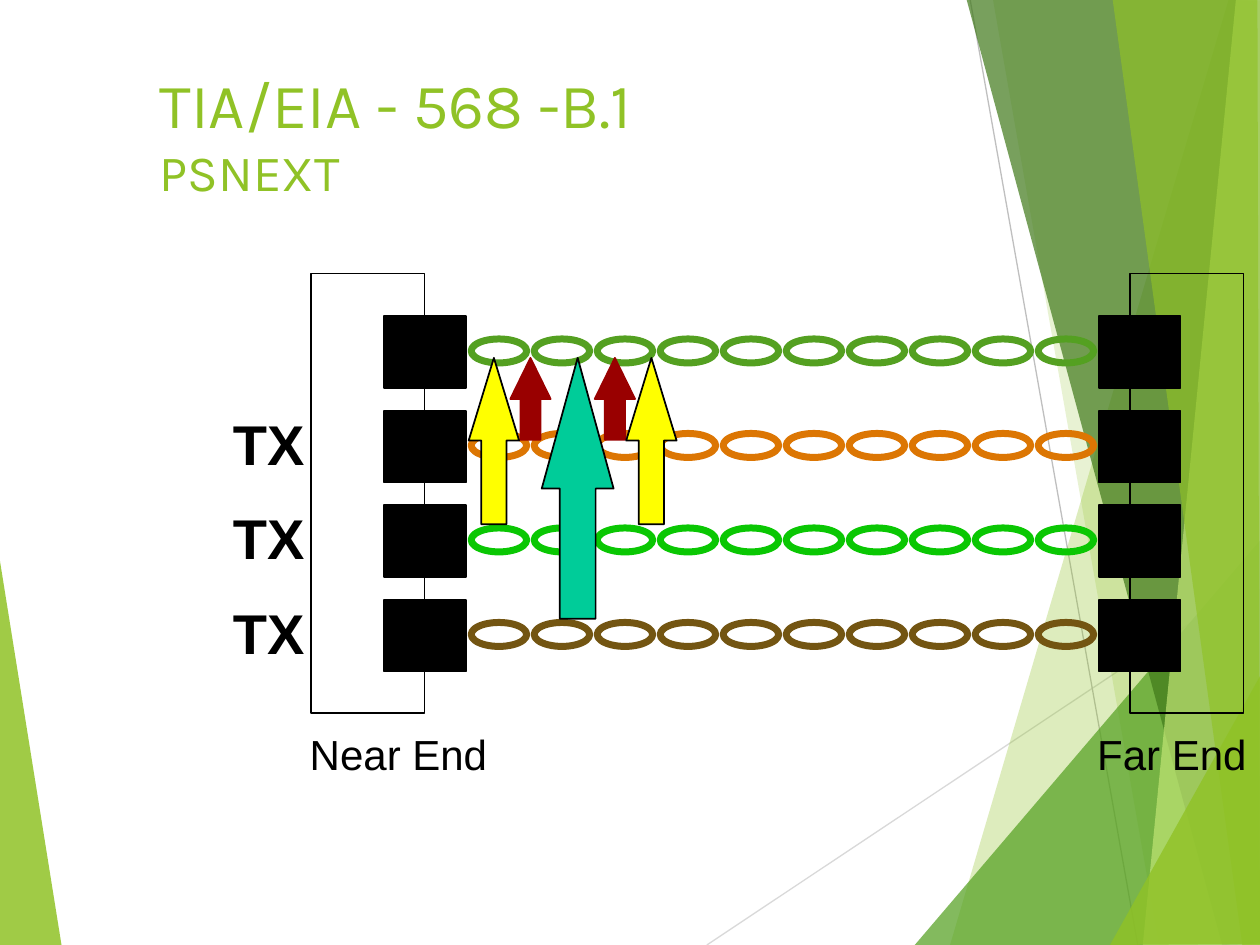
import pptx
import pptx.util
import pptx.dml.color
import pptx.enum.shapes
import pptx.oxml
import pptx.oxml.ns

Inches = pptx.util.Inches
Pt = pptx.util.Pt
RGBColor = pptx.dml.color.RGBColor
Shape = pptx.enum.shapes.MSO_SHAPE

BLACK = RGBColor(0x00, 0x00, 0x00)
LIME = RGBColor(0x90, 0xC2, 0x26)
LEAF = RGBColor(0x54, 0xA0, 0x21)
FOREST = RGBColor(0x3F, 0x78, 0x19)
PALE = RGBColor(0xC0, 0xE4, 0x74)
LIGHT_GREY = RGBColor(0xD9, 0xD9, 0xD9)
GREY = RGBColor(0xBF, 0xBF, 0xBF)
ORANGE = RGBColor(0xDC, 0x76, 0x03)
GREEN = RGBColor(0x0A, 0xC7, 0x03)
BROWN = RGBColor(0x73, 0x55, 0x12)
RED = RGBColor(0x99, 0x00, 0x00)
YELLOW = RGBColor(0xFF, 0xFF, 0x00)
TEAL = RGBColor(0x00, 0xCC, 0x99)


def add_figure(kind, left, top, width, height, fill, line, weight=1):
    figure = page.shapes.add_shape(kind, Inches(left), Inches(top), Inches(width), Inches(height))
    figure.shadow.inherit = False
    if fill is None:
        figure.fill.background()
    else:
        figure.fill.solid()
        figure.fill.fore_color.rgb = fill
    figure.line.color.rgb = line
    figure.line.width = Pt(weight)
    return figure


def add_text(left, top, width, height, lines, wrap=False):
    box = page.shapes.add_textbox(Inches(left), Inches(top), Inches(width), Inches(height))
    box.text_frame.word_wrap = wrap
    para = box.text_frame.paragraphs[0]
    for index, (text, style, color) in enumerate(lines):
        if index:
            para.add_line_break()
        span = para.add_run()
        span.text = text
        for name, value in style.items():
            setattr(span.font, name, value)
        span.font.color.rgb = color


deck = pptx.Presentation()
deck.slide_width = Inches(10)
deck.slide_height = Inches(7.5)
page = deck.slides.add_slide(deck.slide_layouts[6])

facets = [
    (LIME, 85, [(-0.01, 4.39), (0.49, 7.51), (-0.01, 7.5)]),
    (LIME, 30, [(9.75, 0), (7.54, 7.5), (10.02, 7.51), (10.01, 0.01)]),
    (LIME, 20, [(7.88, -0.01), (9.2, 7.5), (10.01, 7.5), (10.01, -0.01)]),
    (LEAF, 72, [(7.26, 7.5), (10, 4.29), (10.01, 7.5)]),
    (FOREST, 70, [(7.67, -0.01), (9.7, 7.5), (10.01, 7.49), (10.01, -0.01)]),
    (PALE, 70, [(9.81, -0.01), (9.07, 7.5), (10.01, 7.5), (10, -0.01)]),
    (LIME, 65, [(8.83, -0.01), (9.86, 7.5), (10, 7.5), (9.98, -0.01)]),
    (LIME, 80, [(8.81, 7.5), (10.01, 5.35), (10.01, 7.49)]),
]
rays = [
    (LIGHT_GREY, 5.61, 7.5, 10.01, 4.57),
    (GREY, 7.7, 0, 9.03, 7.5),
]

for color, x1, y1, x2, y2 in rays:
    ray = page.shapes.add_connector(
        pptx.enum.shapes.MSO_CONNECTOR.STRAIGHT, Inches(x1), Inches(y1), Inches(x2), Inches(y2))
    ray.line.color.rgb = color
    ray.line.width = Pt(0.75)
    pptx.oxml.ns.qn("a:effectLst")
    ray._element.spPr.append(pptx.oxml.parse_xml(
        "<a:effectLst %s/>" % pptx.oxml.ns.nsdecls("a")))

for color, opacity, points in facets:
    corners = [(Inches(x), Inches(y)) for x, y in points]
    builder = page.shapes.build_freeform(*corners[0])
    builder.add_line_segments(corners[1:], close=True)
    facet = builder.convert_to_shape()
    facet.shadow.inherit = False
    facet.fill.solid()
    facet.fill.fore_color.rgb = color
    facet.line.fill.background()
    tint = facet._element.spPr.find(".//" + pptx.oxml.ns.qn("a:srgbClr"))
    tint.append(pptx.oxml.parse_xml(
        '<a:alpha %s val="%d"/>' % (pptx.oxml.ns.nsdecls("a"), opacity * 1000)))

row_pitch = 0.75
for frame_left, jack_left in [(2.47, 3.05), (8.97, 8.72)]:
    add_figure(Shape.RECTANGLE, frame_left, 2.17, 0.9, 3.49, None, BLACK)
    for row in range(4):
        add_figure(Shape.RECTANGLE, jack_left, 2.51 + row * row_pitch, 0.65, 0.57, BLACK, BLACK)

for row, color in enumerate([LEAF, ORANGE, GREEN, BROWN]):
    for twist in range(10):
        add_figure(Shape.OVAL, 3.74 + twist * 0.5, 2.69 + row * row_pitch, 0.44, 0.19, None, color, 4)

arrows = [
    (4.05, 0.32, 0.65, 1.02, RED, RED),
    (4.72, 0.32, 0.65, 1.02, RED, RED),
    (3.72, 0.4, 1.32, 1.64, YELLOW, BLACK),
    (4.97, 0.4, 1.32, 1.64, YELLOW, BLACK),
    (4.3, 0.57, 2.07, 1.82, TEAL, BLACK),
]
for left, width, height, head, fill, line in arrows:
    arrow = add_figure(Shape.UP_ARROW, left, 2.84, width, height, fill, line)
    arrow.adjustments[0] = 0.5
    arrow.adjustments[1] = head

signal_style = {"name": "Arial", "size": Pt(32), "bold": True}
end_style = {"name": "Arial", "size": Pt(24)}
for row in range(3):
    add_text(1.75, 3.2 + row * row_pitch, 0.77, 0.63, [("TX", signal_style, BLACK)])
add_text(2.36, 5.73, 1.61, 0.5, [("Near End", end_style, BLACK)])
add_text(8.61, 5.73, 1.39, 0.5, [("Far End", end_style, BLACK)])
add_text(1.17, 0.47, 7.75, 0.91, [
    ("TIA/EIA - 568 -B.1", {"name": "Karla", "size": Pt(36)}, LIME),
    ("PSNEXT", {"name": "Karla", "size": Pt(29)}, LIME),
], wrap=True)

deck.save("out.pptx")
